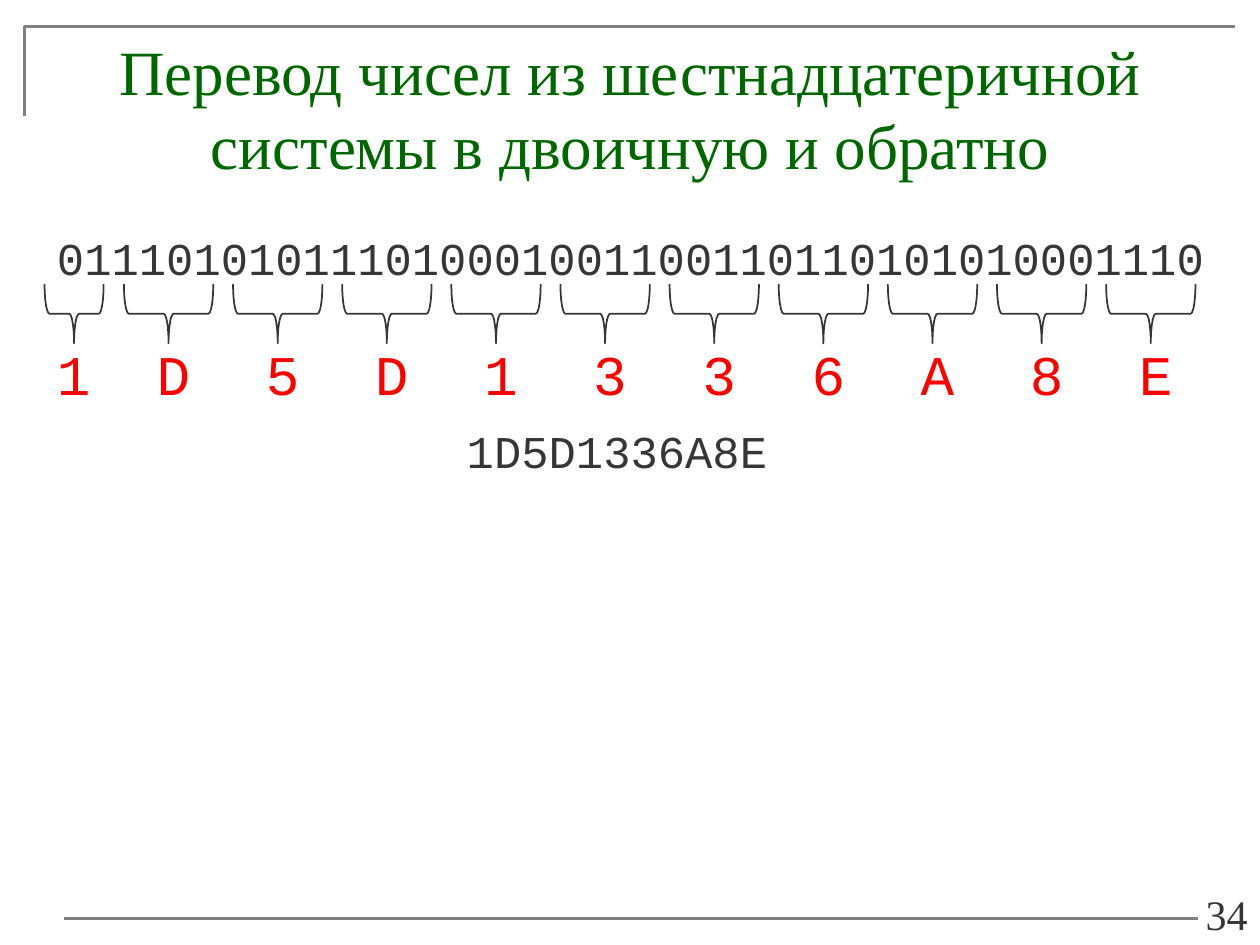
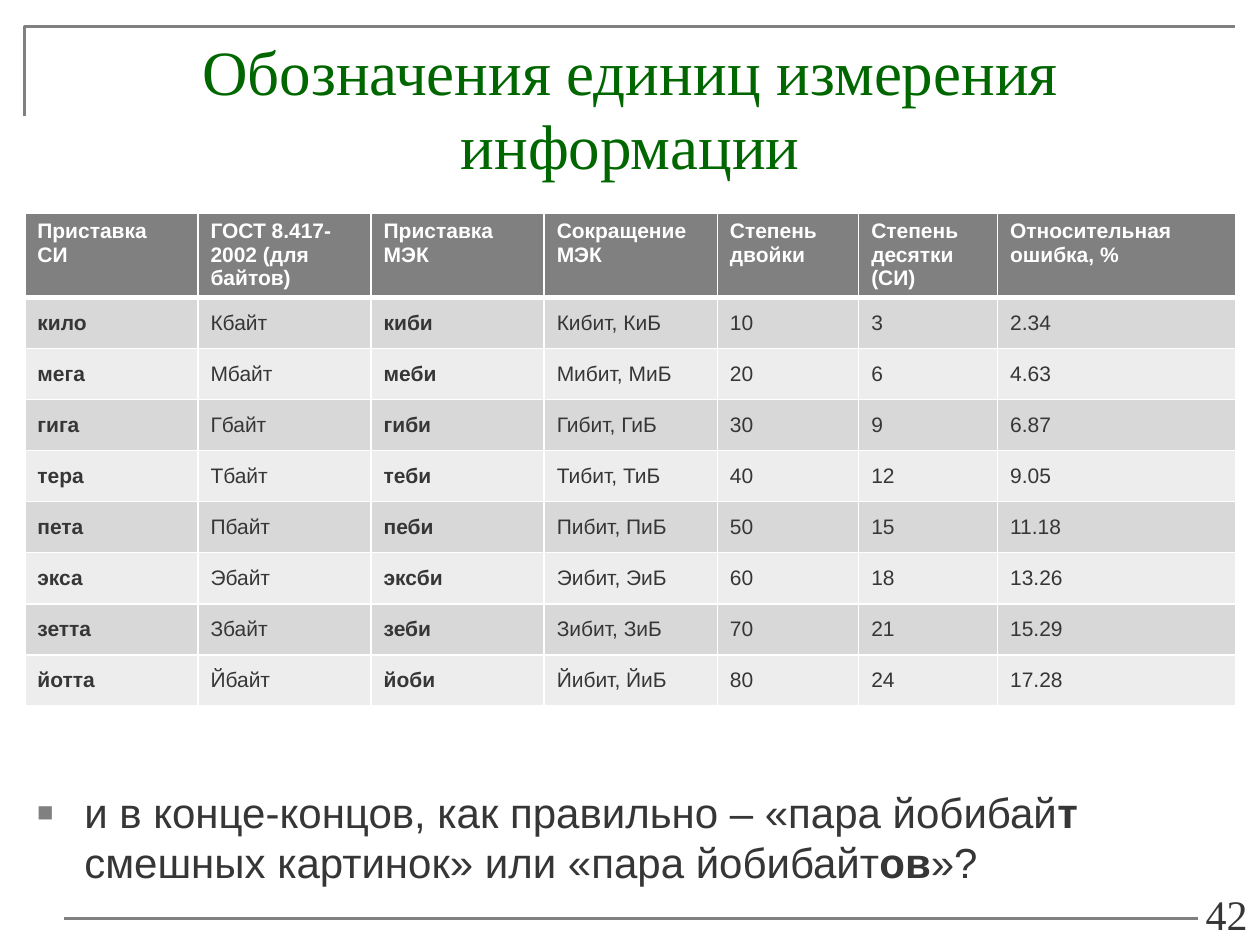
import pptx
import pptx.dml.color
import pptx.enum.shapes
import pptx.enum.text
import pptx.oxml
import pptx.oxml.ns
import pptx.util
from pptx.util import Cm, Pt

RGBColor = pptx.dml.color.RGBColor
Align = pptx.enum.text.PP_ALIGN
Anchor = pptx.enum.text.MSO_ANCHOR

GREEN = RGBColor(0x00, 0x66, 0x00)
GREY = RGBColor(0x80, 0x80, 0x80)
INK = RGBColor(0x36, 0x36, 0x36)
RED = RGBColor(0xFF, 0x00, 0x00)
WHITE = RGBColor(0xFF, 0xFF, 0xFF)
DARK_BAND = RGBColor(0xD8, 0xD8, 0xD8)
LIGHT_BAND = RGBColor(0xED, 0xED, 0xED)

SERIF = "Times New Roman"
SANS = "Arial"
MONO = "Courier New"

MARGIN = 0.5
CONTENT_WIDTH = 24.41


def add_xml(parent, xml):
    namespace = pptx.oxml.ns.nsdecls("a")
    parent.append(pptx.oxml.parse_xml(xml.replace(" ", f" {namespace} ", 1)))


def indent(para, left, first_line=0):
    properties = para._p.get_or_add_pPr()
    properties.set("marL", str(Cm(left)))
    properties.set("indent", str(Cm(first_line)))


def add_square_bullet(para):
    properties = para._p.get_or_add_pPr()
    for xml in (
        f'<a:buClr ><a:srgbClr val="{GREY}"/></a:buClr>',
        '<a:buSzPct val="65000"/>',
        f'<a:buFont typeface="{SANS}"/>',
        '<a:buChar char="■"/>',
    ):
        add_xml(properties, xml)


def set_font(font, name, size, color, bold=False):
    font.name = name
    font.size = Pt(size)
    font.color.rgb = color
    font.bold = bold


class SlideBuilder:
    """Holds the deck, its shared style and the slide being filled; lengths are in cm."""

    def __init__(self):
        self.deck = pptx.Presentation()
        self.deck.slide_width = Cm(25.4)
        self.deck.slide_height = Cm(19.05)
        self.shapes = None

    def start_slide(self, title, number):
        page = self.deck.slides.add_slide(self.deck.slide_layouts[6])
        self.shapes = page.shapes
        self.frame()
        self.rule(1.3, 24.16, 18.52)
        box = self.text(title, MARGIN, 0.53, CONTENT_WIDTH, 3.4,
                        SERIF, 36, GREEN, align=Align.CENTER)
        box.text_frame.margin_top = Cm(0.15)
        box.text_frame.paragraphs[0].line_spacing = Pt(42.5)
        self.text(str(number), 19.48, 17.93, 5.92, 1.12,
                  SERIF, 24, INK, align=Align.RIGHT, anchor=Anchor.BOTTOM)

    def frame(self):
        outline = self.shapes.build_freeform(Cm(MARGIN), Cm(2.33))
        corner_and_end = [(Cm(MARGIN), Cm(0.53)), (Cm(24.9), Cm(0.53))]
        outline.add_line_segments(corner_and_end, close=False)
        self.outline_only(outline.convert_to_shape(), GREY, 1.5)

    def outline_only(self, shape, color, width):
        shape.shadow.inherit = False
        shape.fill.background()
        shape.line.color.rgb = color
        shape.line.width = Pt(width)

    def rule(self, left, right, y):
        line = self.shapes.add_connector(
            pptx.enum.shapes.MSO_CONNECTOR.STRAIGHT, Cm(left), Cm(y), Cm(right), Cm(y))
        line.line.color.rgb = GREY
        line.line.width = Pt(1.5)
        add_xml(line._element.spPr, "<a:effectLst />")

    def text(self, text, left, top, width, height, font, size, color,
             align=Align.LEFT, anchor=Anchor.TOP, wrap=True):
        box = self.shapes.add_textbox(Cm(left), Cm(top), Cm(width), Cm(height))
        box.text_frame.text = text
        box.text_frame.word_wrap = wrap
        box.text_frame.vertical_anchor = anchor
        for para in box.text_frame.paragraphs:
            para.alignment = align
            for span in para.runs:
                set_font(span.font, font, size, color)
        return box

    def bullet(self, spans, left, top, width, height):
        """Adds one bulleted paragraph; spans are (text, bold) pairs."""
        box = self.text("", left, top, width, height, SANS, 24, INK)
        para = box.text_frame.paragraphs[0]
        indent(para, 0.95, -0.95)
        add_square_bullet(para)
        for text, bold in spans:
            span = para.add_run()
            span.text = text
            set_font(span.font, SANS, 24, INK, bold)

    def brace_below(self, left, top, width, height):
        """Draws a brace pointing down; the sizes are those seen after rotation."""
        brace = self.shapes.add_shape(
            pptx.enum.shapes.MSO_SHAPE.LEFT_BRACE,
            Cm(left + (width - height) / 2), Cm(top + (height - width) / 2),
            Cm(height), Cm(width))
        brace.rotation = 270
        brace.adjustments[0] = 0.083
        self.outline_only(brace, INK, 1)

    def table(self, rows, left, top, widths, header_height, row_height, bold_columns):
        height = header_height + row_height * (len(rows) - 1)
        table = self.shapes.add_table(
            len(rows), len(widths), Cm(left), Cm(top), Cm(sum(widths)), Cm(height)).table
        table.horz_banding = False
        for column, width in zip(table.columns, widths):
            column.width = Cm(width)
        for row_index, values in enumerate(rows):
            is_header = row_index == 0
            table.rows[row_index].height = Cm(header_height if is_header else row_height)
            if is_header:
                fill, color, anchor = GREY, WHITE, Anchor.TOP
            else:
                fill = DARK_BAND if row_index % 2 else LIGHT_BAND
                color, anchor = INK, Anchor.MIDDLE
            borders = {"L": 1, "R": 1,
                       "T": 3 if row_index == 1 else 1, "B": 3 if is_header else 1}
            for column_index, value in enumerate(values):
                bold = is_header or column_index in bold_columns
                cell = table.cell(row_index, column_index)
                self.fill_cell(cell, value, fill, color, anchor, bold, borders)
                if is_header:
                    cell.margin_bottom = Cm(0.04)

    def fill_cell(self, cell, value, fill, color, anchor, bold, borders):
        cell.text_frame.text = value
        cell.vertical_anchor = anchor
        for para in cell.text_frame.paragraphs:
            for span in para.runs:
                set_font(span.font, SANS, 12, color, bold)
        properties = cell._tc.get_or_add_tcPr()
        for side, width in borders.items():
            add_xml(properties,
                    f'<a:ln{side} w="{Pt(width)}"><a:solidFill>'
                    f'<a:srgbClr val="{WHITE}"/></a:solidFill></a:ln{side}>')
        cell.fill.solid()
        cell.fill.fore_color.rgb = fill


def build_conversion_slide(builder):
    builder.start_slide(
        "Перевод чисел из шестнадцатеричной системы в двоичную и обратно", 34)
    hex_number = "1D5D1336A8E"
    box = builder.text("011101010111010001001100110110101010001110\n" + hex_number,
                       0.9, 4.52, 23.8, 7.21, MONO, 26, INK)
    result = box.text_frame.paragraphs[1]
    result.space_before = Pt(79)
    indent(result, 8.26)

    brace_top, brace_height, digit_size = 5.73, 1.19, 1.19
    group_step = 2.2
    for index, digit in enumerate(hex_number):
        if index == 0:
            brace_left, brace_width, digit_left = 0.9, 1.19, 0.9
        else:
            brace_left = 2.5 + group_step * (index - 1)
            brace_width, digit_left = 1.8, brace_left + 0.41
        builder.brace_below(brace_left, brace_top, brace_width, brace_height)
        builder.text(digit, digit_left, 6.72, digit_size, 1.63, MONO, 32, RED, wrap=False)


def unit_rows():
    units = [("кило", "киби", "2.34"), ("мега", "меби", "4.63"),
             ("гига", "гиби", "6.87"), ("тера", "теби", "9.05"),
             ("пета", "пеби", "11.18"), ("экса", "эксби", "13.26"),
             ("зетта", "зеби", "15.29"), ("йотта", "йоби", "17.28")]
    for step, (decimal_prefix, binary_prefix, error) in enumerate(units, start=1):
        letter = decimal_prefix[0].upper()
        yield (decimal_prefix, f"{letter}байт", binary_prefix,
               f"{letter}ибит, {letter}иБ", str(10 * step), str(3 * step), error)


def build_units_slide(builder):
    builder.start_slide("Обозначения единиц измерения информации", 42)
    header = ("Приставка\nСИ", "ГОСТ 8.417-2002 (для байтов)", "Приставка МЭК",
              "Сокращение МЭК", "Степень двойки", "Степень десятки (СИ)",
              "Относительная ошибка, %")
    builder.table([header, *unit_rows()], MARGIN, 4.3,
                  widths=[3.49] * 4 + [2.85, 2.8, 4.8],
                  header_height=1.64, row_height=1.03, bold_columns=(0, 2))
    builder.bullet([("и в конце-концов, как правильно – «пара йобибай", False),
                    ("т", True),
                    (" смешных картинок» или «пара йобибайт", False),
                    ("ов", True),
                    ("»?", False)], MARGIN, 15.73, CONTENT_WIDTH, 2.6)


def main():
    builder = SlideBuilder()
    build_conversion_slide(builder)
    build_units_slide(builder)
    builder.deck.save("out.pptx")


if __name__ == "__main__":
    main()
